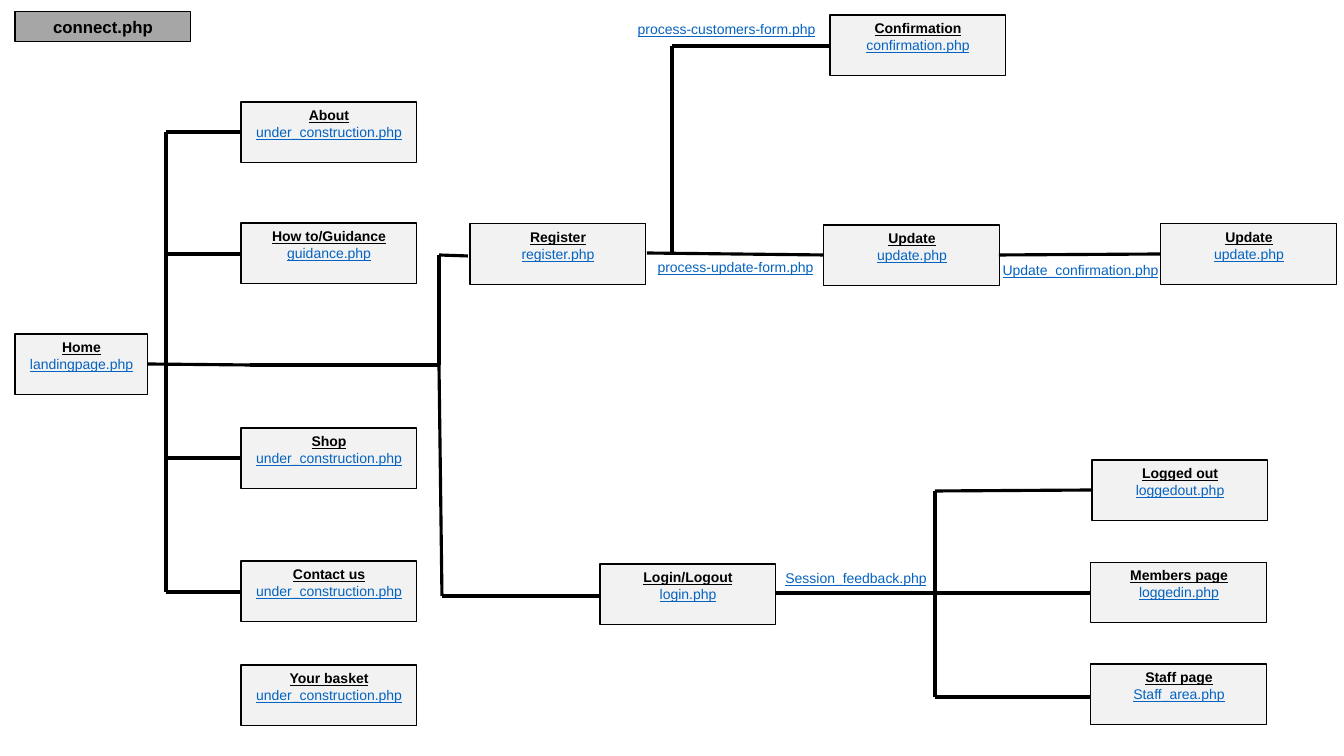
from itertools import pairwise
from lxml.etree import SubElement
from pptx import Presentation
from pptx.dml.color import RGBColor
from pptx.enum.shapes import MSO_CONNECTOR as LINK, MSO_SHAPE as SHAPE
from pptx.enum.text import MSO_ANCHOR as ANCHOR, PP_ALIGN as ALIGN
from pptx.oxml.ns import qn
from pptx.util import Pt

SCALE = 914400 / 100.8
PAGE_W, PAGE_H = 176, 61
HOME_W = 133
BLACK, BLUE, PALE, GREY = "000000", "0563C1", "F2F2F2", "A6A6A6"
TODO = "under_construction.php"

# title, file, left, top, width
PAGES = [
    ("Home", "landingpage.php", 15, 334, HOME_W),
    ("About", TODO, 241, 102, PAGE_W),
    ("How to/Guidance", "guidance.php", 241, 223, PAGE_W),
    ("Shop", TODO, 241, 428, PAGE_W),
    ("Contact us", TODO, 241, 561, PAGE_W),
    ("Your basket", TODO, 241, 665, PAGE_W),
    ("Register", "register.php", 470, 224, PAGE_W),
    ("Login/Logout", "login.php", 600, 564, PAGE_W),
    ("Confirmation", "confirmation.php", 830, 15, PAGE_W),
    ("Update", "update.php", 824, 225, PAGE_W),
    ("Update", "update.php", 1161, 224, PAGE_W),
    ("Logged out", "loggedout.php", 1092, 460, PAGE_W),
    ("Members page", "loggedin.php", 1091, 562, PAGE_W),
    ("Staff page", "Staff_area.php", 1091, 664, PAGE_W),
]
# file, left, top, width
LABELS = [
    ("process-customers-form.php", 609, 16, 235),
    ("process-update-form.php", 618, 254, 235),
    ("Update_confirmation.php", 963, 257, 235),
    ("Session_feedback.php", 759, 565, 194),
]
LABEL_H = 57
# corner points of each route between pages
ROUTES = [
    [(241, 132), (166, 132), (166, 363), (166, 592), (241, 592)],
    [(166, 254), (241, 254)],
    [(166, 458), (241, 458)],
    [(148, 364), (250, 365), (439, 365)],
    [(468, 256), (439, 255), (439, 365), (442, 596), (599, 596)],
    [(776, 593), (933, 593), (1091, 593)],
    [(1092, 490), (935, 491), (935, 596), (935, 697), (1091, 697)],
    [(647, 253), (824, 255)],
    [(672, 253), (672, 150), (672, 46), (829, 46)],
    [(999, 255), (1161, 254)],
]


def px(*sizes):
    """Turn pixels into EMU."""
    return [round(size * SCALE) for size in sizes]


def color(code):
    """Turn a hex string into a colour."""
    return RGBColor.from_string(code)


def write(shape, *lines):
    """Write centred lines of (text, size, colour, bold, underline)."""
    frame = shape.text_frame
    frame.word_wrap = True
    frame.vertical_anchor = ANCHOR.TOP
    frame.text = "\n".join(line[0] for line in lines)
    for para, (_, size, code, bold, under) in zip(frame.paragraphs, lines):
        para.alignment = ALIGN.CENTER
        font = para.font
        font.name, font.size = "Arial", Pt(size)
        font.bold, font.underline = bold, under
        font.color.rgb = color(code)


def add_box(left, top, width, height, fill, *lines):
    """Add a bordered box with text."""
    box = shapes.add_shape(SHAPE.RECTANGLE, *px(left, top, width, height))
    box.shadow.inherit = False
    box.fill.solid()
    box.fill.fore_color.rgb = color(fill)
    box.line.color.rgb = color(BLACK)
    box.line.width = Pt(0.75)
    write(box, *lines)


def add_link(start, end):
    """Add a plain thick line between two points."""
    link = shapes.add_connector(LINK.STRAIGHT, *px(*start, *end))
    link.line.color.rgb = color(BLACK)
    link.line.width = Pt(2.25)
    SubElement(link._element.spPr, qn("a:effectLst"))


deck = Presentation()
deck.slide_width, deck.slide_height = px(1344, 756)
shapes = deck.slides.add_slide(deck.slide_layouts[6]).shapes

for title, file, left, top, width in PAGES:
    add_box(left, top, width, PAGE_H, PALE,
            (title, 10, BLACK, True, True), (file, 10, BLUE, False, True))
add_box(15, 12, PAGE_W, 30, GREY, ("connect.php", 12, BLACK, True, False))

for route in ROUTES:
    for start, end in pairwise(route):
        add_link(start, end)

for file, left, top, width in LABELS:
    label = shapes.add_textbox(*px(left, top, width, LABEL_H))
    write(label, (file, 10, BLUE, False, True))

deck.save("out.pptx")
